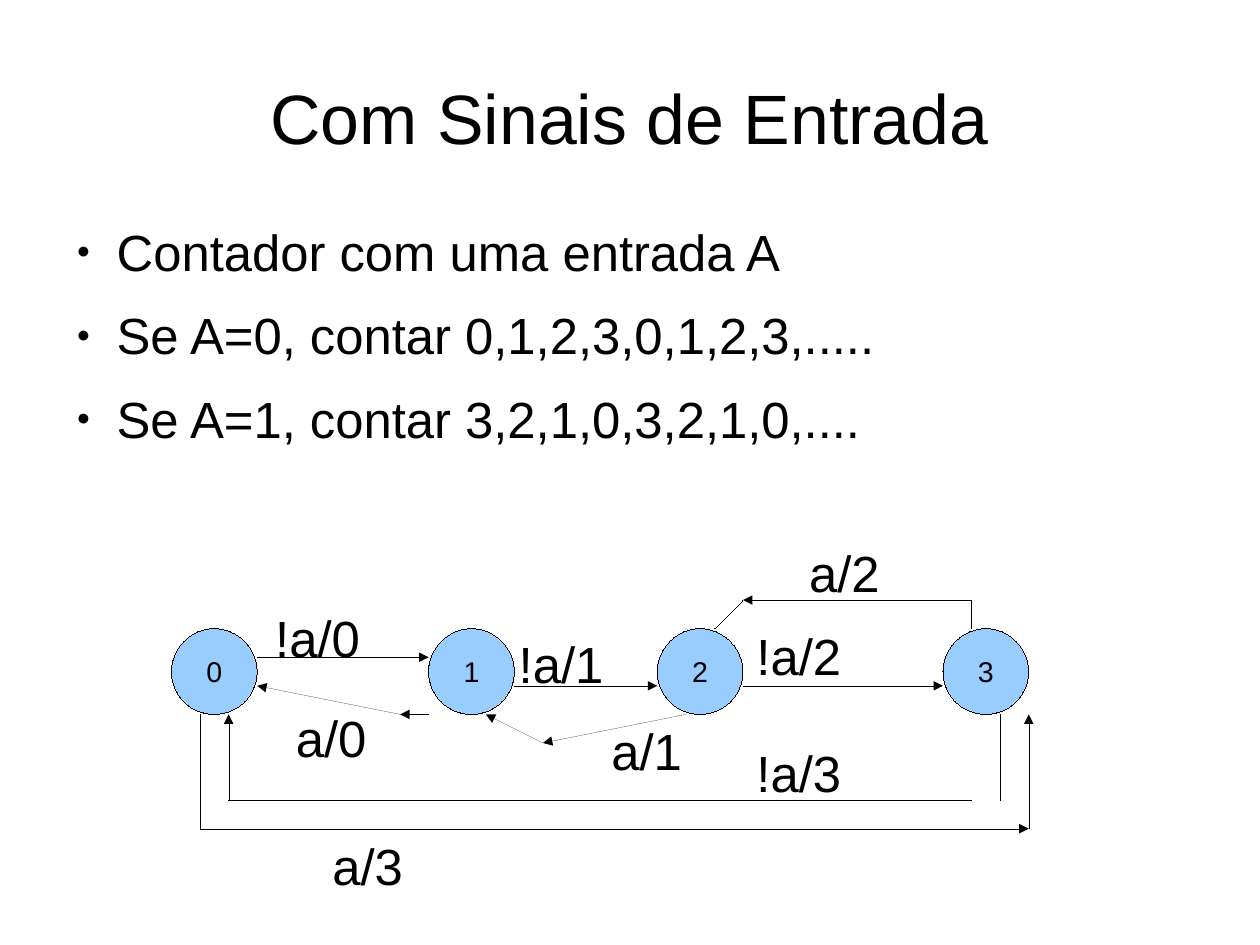
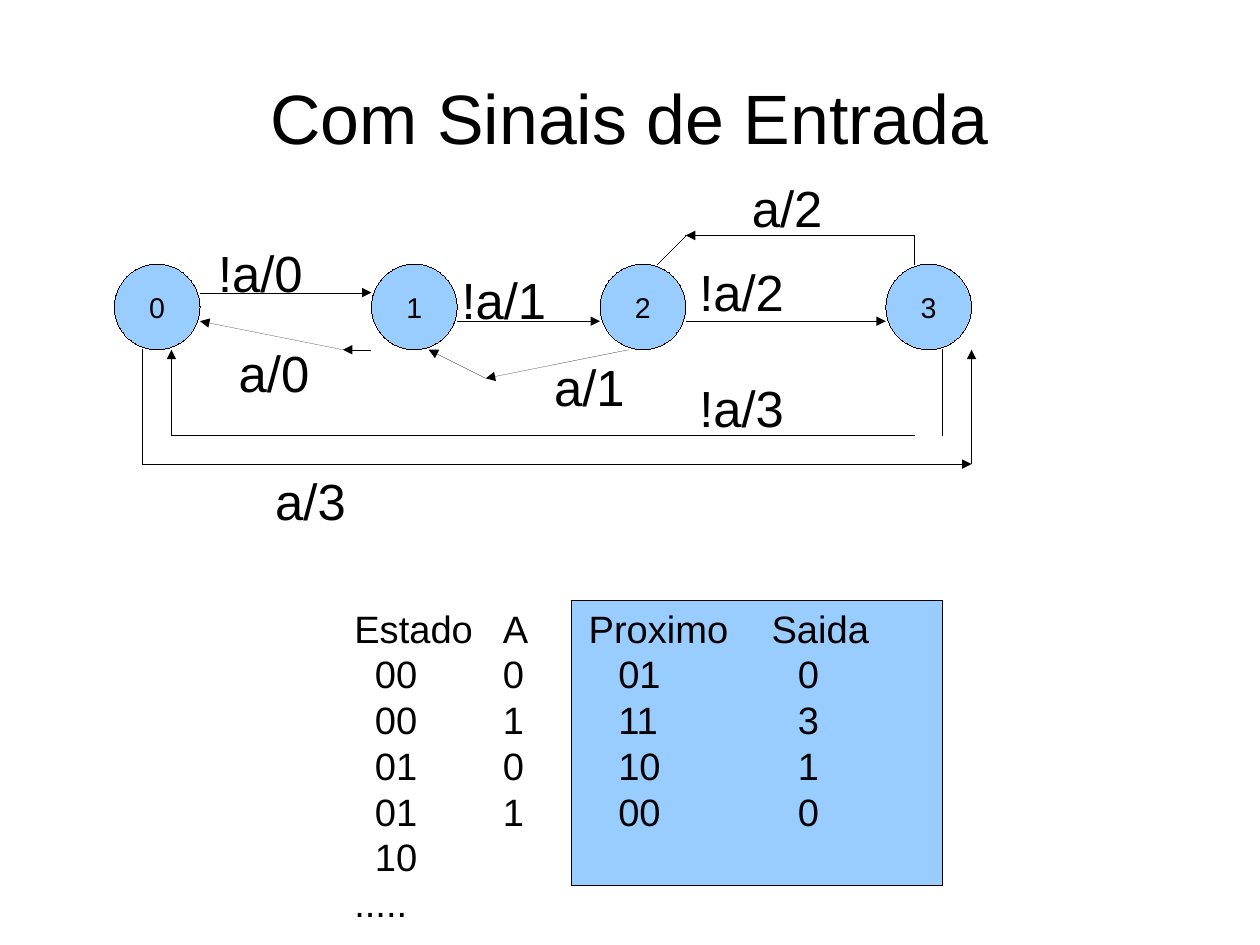
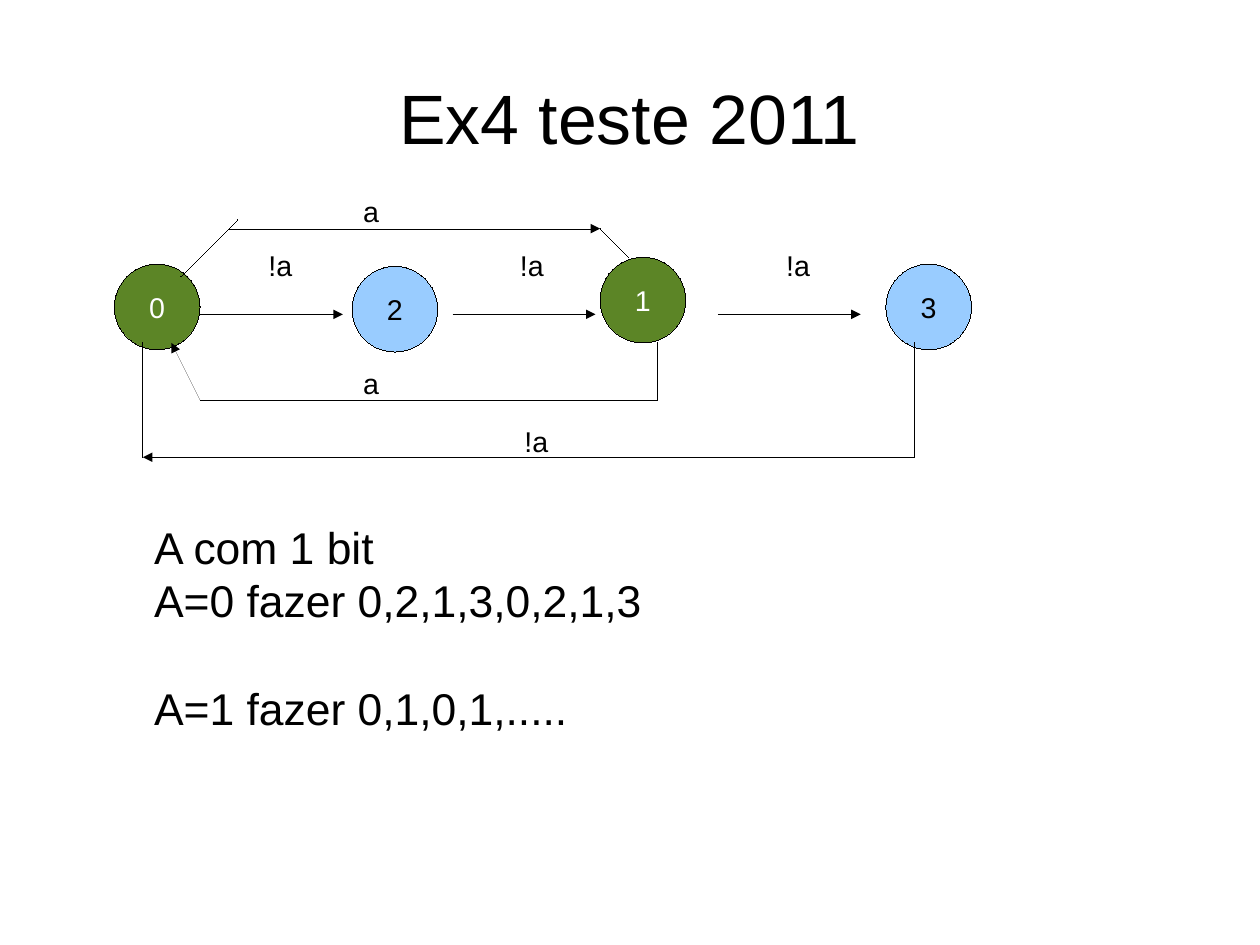
"""Build three slides on counters drawn as state machines."""
import lxml.etree
import pptx
import pptx.dml.color
import pptx.enum.shapes
import pptx.enum.text
import pptx.oxml.ns
import pptx.util

PX = 9144
SLIDE_WIDTH, SLIDE_HEIGHT = pptx.util.Cm(28), pptx.util.Cm(21)
FONT = "Arial"
BLACK = pptx.dml.color.RGBColor(0x00, 0x00, 0x00)
WHITE = pptx.dml.color.RGBColor(0xFF, 0xFF, 0xFF)
BLUE = pptx.dml.color.RGBColor(0x99, 0xCC, 0xFF)
GREEN = pptx.dml.color.RGBColor(0x5C, 0x85, 0x26)

CONTENT_LAYOUT, TITLE_ONLY_LAYOUT = 1, 5
NODE_SIZE = 75
NO_TABLE_STYLE = "{2D5ABB26-0587-4C30-8999-92F81FD0307C}"

COUNTER_NODES = [("0", 0), ("1", 225), ("2", 425), ("3", 675)]
COUNTER_ARROWS = [
    (75, 25, 225, 25), (300, 50, 425, 50), (500, 50, 675, 50),
    (50, 150, 50, 75), (25, 175, 750, 175), (750, 175, 750, 75),
    (700, -25, 500, -25), (450, 75, 325, 100), (325, 100, 275, 75),
    (225, 75, 200, 75), (200, 75, 75, 50),
]
COUNTER_LINES = [
    (725, 75, 725, 150), (700, 150, 50, 150), (25, 75, 25, 175),
    (500, -25, 475, 0), (700, 0, 700, -25),
]
COUNTER_LABELS = [
    ("!a/0", 81, -24), ("!a/1", 294, -1), ("!a/2", 502, -8), ("!a/3", 502, 94),
    ("a/3", 131, 175), ("a/2", 548, -81), ("a/1", 375, 75), ("a/0", 99, 63),
]

EXERCISE_NODES = [
    ("0", 100, 231, GREEN, WHITE), ("1", 525, 225, GREEN, WHITE),
    ("2", 308, 233, BLUE, BLACK), ("3", 775, 231, BLUE, BLACK),
]
EXERCISE_ARROWS = [
    (175, 275, 300, 275), (396, 275, 521, 275), (628, 275, 753, 275),
    (800, 400, 125, 400), (175, 350, 150, 300), (200, 200, 525, 200),
]
EXERCISE_LINES = [
    (800, 300, 800, 400), (125, 300, 125, 400), (575, 300, 575, 350),
    (175, 350, 575, 350), (158, 242, 208, 192), (550, 225, 525, 200),
]
EXERCISE_LABELS = [
    ("!a", 225, 212), ("!a", 445, 212), ("!a", 678, 212),
    ("!a", 449, 366), ("a", 308, 165), ("a", 308, 315),
]

STATE_ROWS = [
    ("Estado", "A", "Proximo", "Saida"),
    ("00", "0", "01", "0"),
    ("00", "1", "11", "3"),
    ("01", "0", "10", "1"),
    ("01", "1", "00", "0"),
    ("10", "", "", ""),
    (".....", "", "", ""),
]
STATE_COLUMNS = [(130, 18), (75, 0), (160, 26), (100, 23)]


def emu(*lengths):
    """Turn px lengths into a list of EMU lengths."""
    return [pptx.util.Emu(length * PX) for length in lengths]


def place(shape, left, top, width, height):
    """Move and size a shape, in px."""
    shape.left, shape.top, shape.width, shape.height = emu(left, top, width, height)


def set_margins(target, left=0):
    """Clear the margins of a frame or cell, save for a left one in px."""
    target.margin_left = emu(left)[0]
    target.margin_top = target.margin_right = target.margin_bottom = 0


def format_text(frame, size, color=BLACK, align=pptx.enum.text.PP_ALIGN.LEFT):
    """Give every paragraph and run of a frame one look."""
    for para in frame.paragraphs:
        para.alignment = align
        for span in para.runs:
            span.font.name = FONT
            span.font.size = pptx.util.Pt(size)
            span.font.color.rgb = color


def add_page(deck, title, layout=TITLE_ONLY_LAYOUT):
    """Add a slide with the shared title style."""
    page = deck.slides.add_slide(deck.slide_layouts[layout])
    heading = page.shapes.title
    place(heading, 55, 33, 992, 138)
    frame = heading.text_frame
    frame.text = title
    frame.auto_size = pptx.enum.text.MSO_AUTO_SIZE.NONE
    frame.vertical_anchor = pptx.enum.text.MSO_ANCHOR.MIDDLE
    set_margins(frame)
    format_text(frame, 44, align=pptx.enum.text.PP_ALIGN.CENTER)
    return page


def add_bullet(para):
    """Give a paragraph a hanging round bullet."""
    properties = para._p.get_or_add_pPr()
    indent, hanging = emu(47, -35)
    properties.set("marL", str(indent))
    properties.set("indent", str(hanging))
    name = pptx.oxml.ns.qn
    color = lxml.etree.SubElement(properties, name("a:buClr"))
    lxml.etree.SubElement(color, name("a:srgbClr"), val=str(BLACK))
    lxml.etree.SubElement(properties, name("a:buSzPct"), val="45000")
    lxml.etree.SubElement(properties, name("a:buFont"), typeface=FONT)
    lxml.etree.SubElement(properties, name("a:buChar"), char="●")


def fill_body(page, lines):
    """Fill the body placeholder with bulleted lines."""
    body = page.placeholders[1]
    place(body, 55, 193, 992, 232)
    frame = body.text_frame
    frame.text = "\n".join(lines)
    frame.auto_size = pptx.enum.text.MSO_AUTO_SIZE.NONE
    set_margins(frame)
    format_text(frame, 32)
    for para in frame.paragraphs:
        para.space_before = pptx.util.Pt(0)
        para.space_after = pptx.util.Pt(14.2)
        add_bullet(para)


def add_text(page, text, left, top, width, height, size):
    """Add a wrapping text box and return its frame."""
    box = page.shapes.add_textbox(*emu(left, top, width, height))
    frame = box.text_frame
    frame.word_wrap = True
    frame.text = text
    format_text(frame, size)
    return frame


def set_hairline(shape):
    """Outline a shape or connector in black at zero width."""
    shape.line.color.rgb = BLACK
    outline = shape.line._get_or_add_ln()
    outline.set("w", "0")
    return outline


def add_block(page, kind, left, top, width, height, fill):
    """Add a filled preset shape with a hairline outline."""
    block = page.shapes.add_shape(kind, *emu(left, top, width, height))
    block.shadow.inherit = False
    block.fill.solid()
    block.fill.fore_color.rgb = fill
    set_hairline(block)
    return block


def add_node(page, name, left, top, fill=BLUE, color=BLACK):
    """Add a round state with its number."""
    oval = pptx.enum.shapes.MSO_SHAPE.OVAL
    node = add_block(page, oval, left, top, NODE_SIZE, NODE_SIZE, fill)
    node.text_frame.text = name
    node.text_frame.vertical_anchor = pptx.enum.text.MSO_ANCHOR.MIDDLE
    format_text(node.text_frame, 18, color, pptx.enum.text.PP_ALIGN.CENTER)


def add_line(page, ends, arrow=False):
    """Add a straight hairline, with an arrowhead at its end if asked."""
    straight = pptx.enum.shapes.MSO_CONNECTOR.STRAIGHT
    line = page.shapes.add_connector(straight, *emu(*ends))
    outline = set_hairline(line)
    name = pptx.oxml.ns.qn
    if arrow:
        lxml.etree.SubElement(outline, name("a:tailEnd"), type="triangle")
    lxml.etree.SubElement(line._element.spPr, name("a:effectLst"))


def add_lines(page, arrows, lines, left=0, top=0):
    """Add arrows and plain lines, shifted by an origin."""
    for group, arrow in ((arrows, True), (lines, False)):
        for x1, y1, x2, y2 in group:
            add_line(page, (left + x1, top + y1, left + x2, top + y2), arrow)


def add_counter(page, left, top):
    """Draw the up and down counter with its first state at the origin."""
    for name, x in COUNTER_NODES:
        add_node(page, name, left + x, top)
    add_lines(page, COUNTER_ARROWS, COUNTER_LINES, left, top)
    for text, x, y in COUNTER_LABELS:
        add_text(page, text, left + x, top + y, 100, 60, 32)


def add_state_table(page, left, top, row_height):
    """Add the transition table, unfilled and without borders."""
    width = sum(column for column, _ in STATE_COLUMNS)
    size = emu(left, top, width, row_height * len(STATE_ROWS))
    table = page.shapes.add_table(len(STATE_ROWS), len(STATE_COLUMNS), *size).table
    table.first_row = table.horz_banding = False
    table._tbl.tblPr.find(pptx.oxml.ns.qn("a:tableStyleId")).text = NO_TABLE_STYLE
    for c, (column, indent) in enumerate(STATE_COLUMNS):
        table.columns[c].width = emu(column)[0]
        for r, row in enumerate(STATE_ROWS):
            cell = table.cell(r, c)
            cell.fill.background()
            cell.vertical_anchor = pptx.enum.text.MSO_ANCHOR.MIDDLE
            set_margins(cell, indent if 0 < r < len(STATE_ROWS) - 1 else 0)
            cell.text_frame.text = row[c]
            format_text(cell.text_frame, 24)


def build_rules_page(deck):
    """Build the slide with the counting rules and their diagram."""
    page = add_page(deck, "Com Sinais de Entrada", CONTENT_LAYOUT)
    fill_body(page, [
        "Contador com uma entrada A",
        "Se A=0, contar 0,1,2,3,0,1,2,3,.....",
        "Se A=1, contar 3,2,1,0,3,2,1,0,....",
    ])
    add_counter(page, 150, 550)


def build_table_page(deck):
    """Build the slide with the diagram and its transition table."""
    page = add_page(deck, "Com Sinais de Entrada")
    add_counter(page, 100, 231)
    rectangle = pptx.enum.shapes.MSO_SHAPE.RECTANGLE
    add_block(page, rectangle, 500, 525, 325, 250, BLUE)
    add_state_table(page, 310, 531, 40)


def build_exercise_page(deck):
    """Build the slide with the test exercise."""
    page = add_page(deck, "Ex4 teste 2011")
    for node in EXERCISE_NODES:
        add_node(page, *node)
    add_lines(page, EXERCISE_ARROWS, EXERCISE_LINES)
    for text, left, top in EXERCISE_LABELS:
        add_text(page, text, left, top, 50, 63, 18)
    lines = ["A com 1 bit", "A=0 fazer 0,2,1,3,0,2,1,3", "A=1 fazer 0,1,0,1,....."]
    frame = add_text(page, "\n".join(lines), 125, 450, 825, 183, 28)
    frame.paragraphs[-1].space_before = pptx.util.Pt(34)


def main():
    """Build and save the deck."""
    deck = pptx.Presentation()
    deck.slide_width, deck.slide_height = SLIDE_WIDTH, SLIDE_HEIGHT
    build_rules_page(deck)
    build_table_page(deck)
    build_exercise_page(deck)
    deck.save("out.pptx")


if __name__ == "__main__":
    main()
